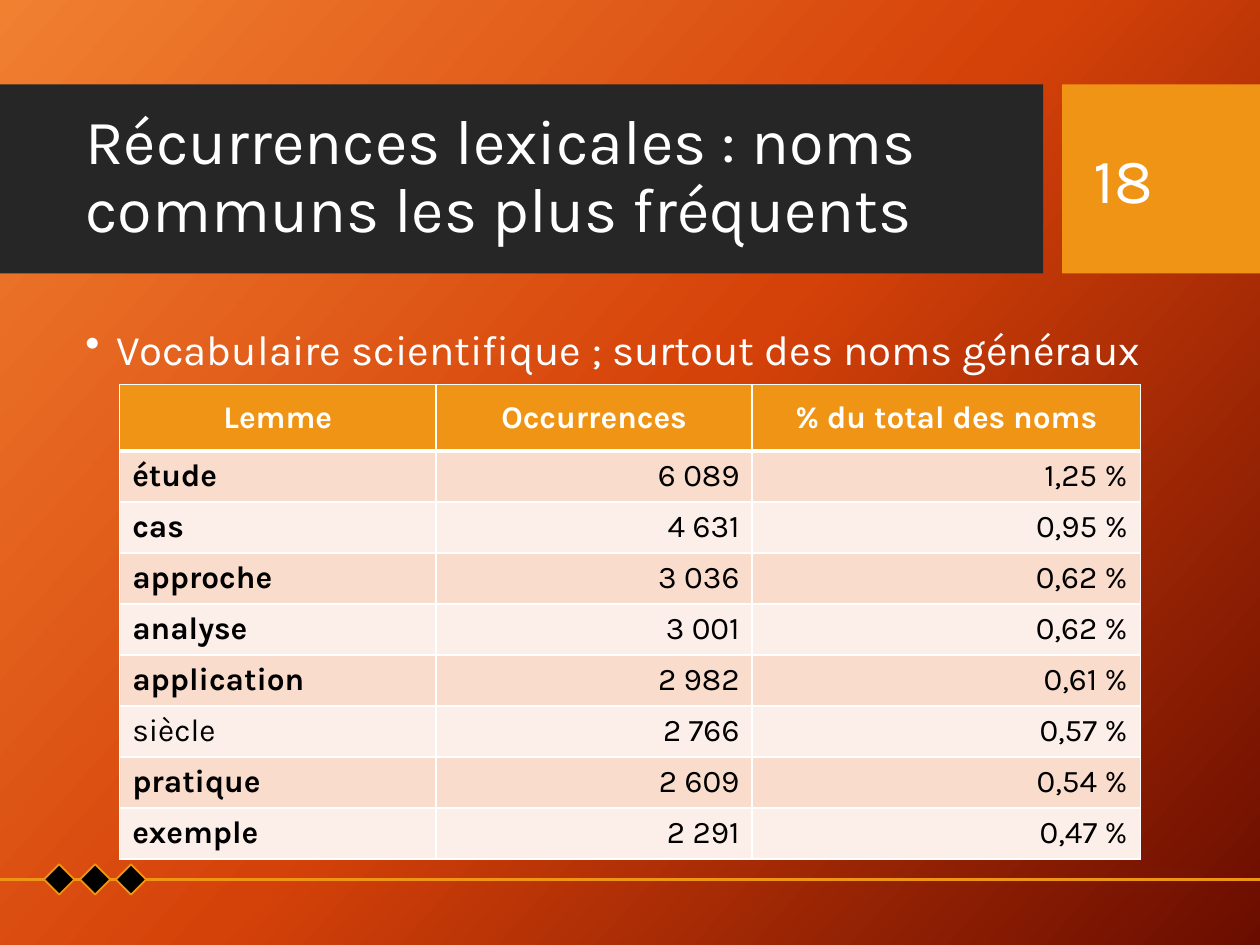
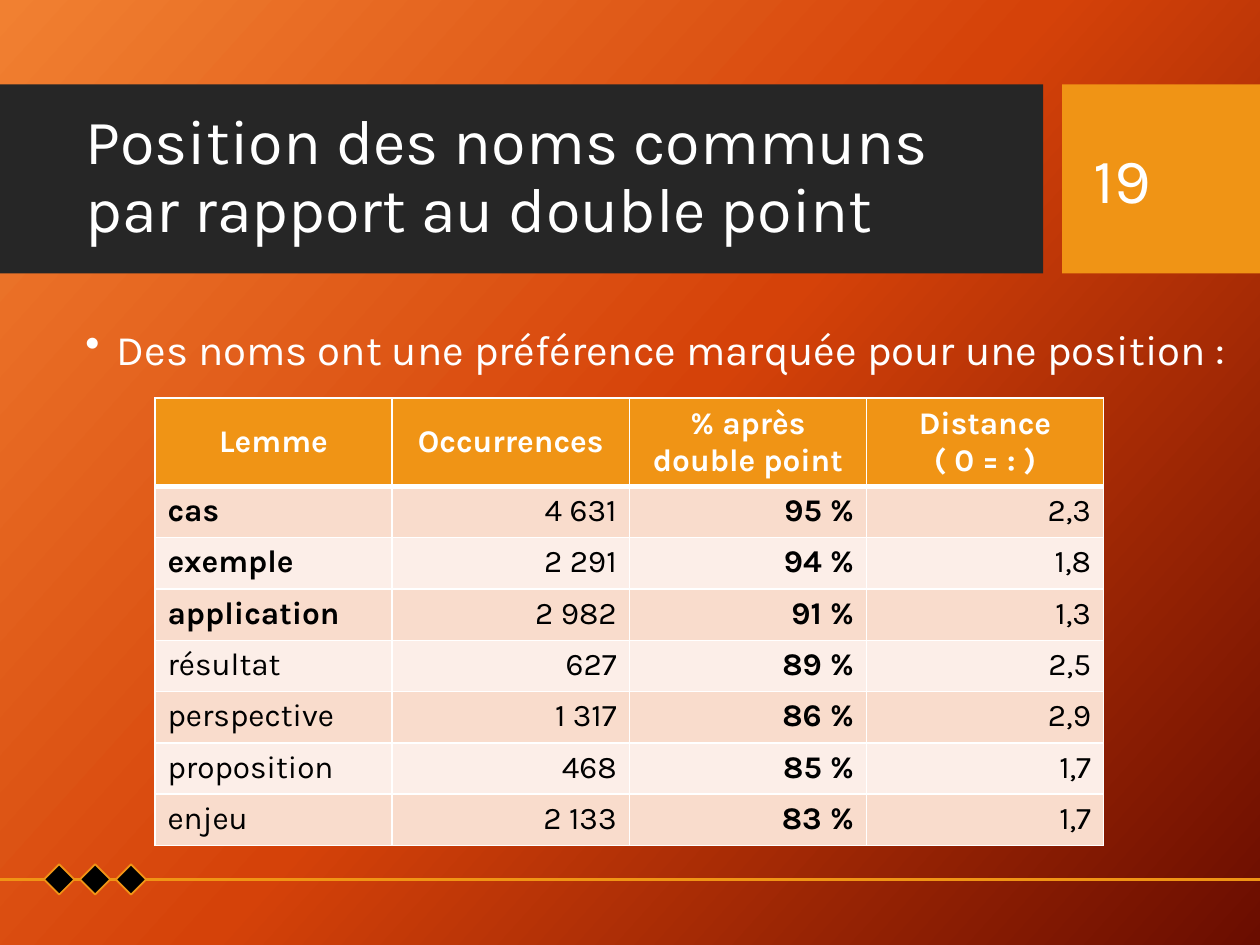
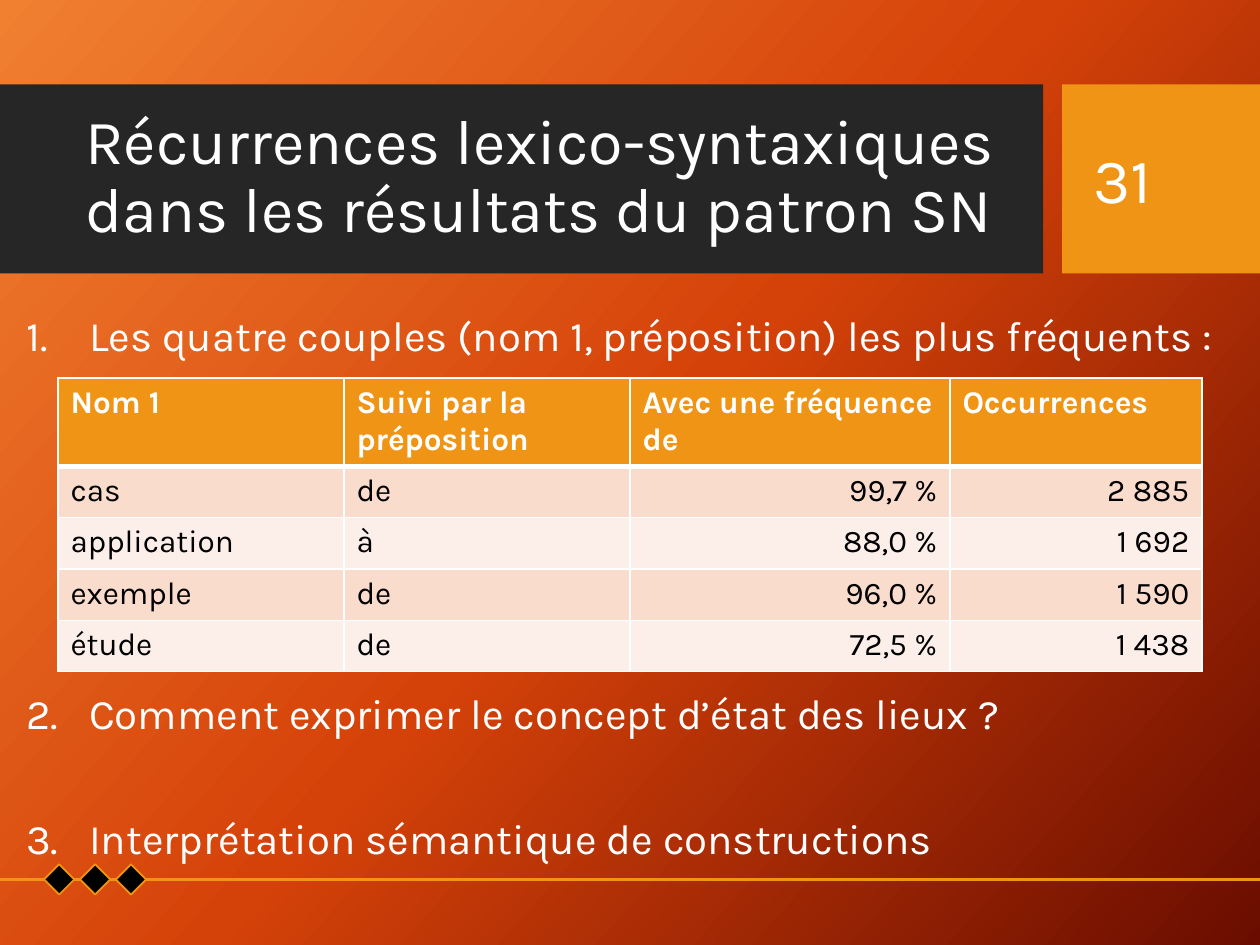
from copy import deepcopy
from dataclasses import dataclass

from lxml.etree import SubElement
from pptx import Presentation
from pptx.dml.color import RGBColor as Rgb
from pptx.enum.shapes import MSO_CONNECTOR as Connector, MSO_SHAPE as Shape
from pptx.enum.text import MSO_ANCHOR as Anchor, PP_ALIGN as Align
from pptx.oxml import parse_xml
from pptx.oxml.ns import nsdecls, qn
from pptx.util import Inches, Pt


@dataclass(frozen=True)
class Theme:
    font: str = "Karla"
    title_size: int = 36
    body_size: int = 24
    table_size: int = 18
    white: str = "FFFFFF"
    black: str = "000000"
    band: str = "262626"
    accent: str = "F09415"
    stripes: tuple = ("F9DCCC", "FCEEE8")
    gradient: tuple = ((0, "F18031"), (0.5, "D54209"), (1, "6A0D00"))
    gradient_angle: int = 42
    rule: float = 1.5
    border: int = 1
    header_border: int = 3


THEME = Theme()
TITLE_BAND = (0, 0.67, 8.28, 1.5)
NUMBER_BAND = (8.43, 0.67, 1.57, 1.5)
FOOTER = (0, 6.86, 10, 0.24)
BULLET_BOX = (0.58, 2.56, 9.42, 4.74)
FREQUENT_NOUNS = {"étude", "cas", "approche", "analyse", "application", "pratique", "exemple"}


def inches(box):
    return [Inches(value) for value in box]


def style_font(para, size, color=THEME.white, bold=False):
    font = para.font
    font.name, font.size, font.bold = THEME.font, Pt(size), bold
    font.color.rgb = Rgb.from_string(color)


def add_filled(shapes, kind, box, color, line_color=None):
    shape = shapes.add_shape(kind, *inches(box))
    shape.shadow.inherit = False
    shape.fill.solid()
    shape.fill.fore_color.rgb = Rgb.from_string(color)
    if line_color:
        shape.line.color.rgb = Rgb.from_string(line_color)
        shape.line.width = Pt(THEME.border)
    else:
        shape.line.fill.background()


def add_text_frame(page, box, anchor=Anchor.TOP):
    frame = page.shapes.add_textbox(*inches(box)).text_frame
    frame.word_wrap = True
    frame.vertical_anchor = anchor
    return frame


def paint_background(page):
    fill = page.background.fill
    fill.gradient()
    fill.gradient_angle = 360 - THEME.gradient_angle
    stop_list = page.element.find(".//" + qn("a:gsLst"))
    stop_list.append(deepcopy(stop_list[0]))
    for stop, (position, color) in zip(fill.gradient_stops, THEME.gradient):
        stop.position = position
        stop.color.rgb = Rgb.from_string(color)


def add_band(page, band, text_box, text, line_spacing=1.0):
    """Draw a coloured band with a large text; text_box is relative to the band."""
    (left, top, _, _), color = band
    add_filled(page.shapes, Shape.RECTANGLE, band[0], color)
    dx, dy, width, height = text_box
    frame = add_text_frame(page, (left + dx, top + dy, width, height), Anchor.MIDDLE)
    para = frame.paragraphs[0]
    para.text = text
    para.line_spacing = line_spacing
    style_font(para, THEME.title_size)


def add_footer(page, box):
    left, top, width, size = box
    shapes = page.shapes.add_group_shape().shapes
    middle = top + size / 2
    rule = shapes.add_connector(
        Connector.STRAIGHT, *inches((left, middle, left + width, middle)))
    rule.line.color.rgb = Rgb.from_string(THEME.accent)
    rule.line.width = Pt(THEME.rule)
    SubElement(rule.element.spPr, qn("a:effectLst"))
    for index in range(3):
        diamond = (left + 0.35 + index * 0.285, top, size, size)
        add_filled(shapes, Shape.DIAMOND, diamond, THEME.black, THEME.accent)


def add_page(deck, title, number):
    page = deck.slides.add_slide(deck.slide_layouts[6])
    paint_background(page)
    add_band(page, (TITLE_BAND, THEME.band), (0.58, 0.15, 7.54, 1.18), title, 0.9)
    add_band(page, (NUMBER_BAND, THEME.accent), (0.15, 0.15, 1.27, 1.19), str(number))
    add_footer(page, FOOTER)
    return page


def add_list(page, box, items, indent, numbered=False):
    """Write a list; each item is a text with its space before in points."""
    frame = add_text_frame(page, box)
    for number, (text, space) in enumerate(items, 1):
        para = frame.paragraphs[0] if number == 1 else frame.add_paragraph()
        para.text = text
        para.line_spacing = 0.9
        para.space_before = Pt(space)
        properties = para._p.get_or_add_pPr()
        properties.set("marL", str(Inches(indent)))
        properties.set("indent", str(-Inches(indent)))
        color = SubElement(properties, qn("a:buClr"))
        SubElement(color, qn("a:srgbClr"), val=THEME.white)
        if numbered:
            SubElement(properties, qn("a:buAutoNum"), type="arabicPeriod", startAt=str(number))
        else:
            SubElement(properties, qn("a:buChar"), char="•")
        style_font(para, THEME.body_size)


def set_borders(cell, top, bottom):
    widths = {"lnL": THEME.border, "lnR": THEME.border, "lnT": top, "lnB": bottom}
    properties = cell._tc.get_or_add_tcPr()
    for index, (side, width) in enumerate(widths.items()):
        properties.insert(index, parse_xml(
            f'<a:{side} {nsdecls("a")} w="{Pt(width)}"><a:solidFill>'
            f'<a:srgbClr val="{THEME.white}"/></a:solidFill></a:{side}>'))


def fill_cell(cell, text, fill, align, color, bold):
    cell.fill.solid()
    cell.fill.fore_color.rgb = Rgb.from_string(fill)
    cell.text_frame.text = text
    for para in cell.text_frame.paragraphs:
        para.alignment = align
        style_font(para, THEME.table_size, color, bold)


def add_data_table(page, box, header_height, widths, rows, bold_words=(), bold_columns=(),
                   text_columns=1, centred_header=True):
    """Draw a striped table; the rows below the header share the remaining height."""
    table = page.shapes.add_table(len(rows), len(widths), *inches(box)).table
    for column, width in zip(table.columns, widths):
        column.width = Inches(width)
    body_height = (box[3] - header_height) / (len(rows) - 1)
    for row_index, values in enumerate(rows):
        is_header = row_index == 0
        table.rows[row_index].height = Inches(header_height if is_header else body_height)
        for column_index, text in enumerate(values):
            cell = table.cell(row_index, column_index)
            if is_header:
                align = Align.CENTER if centred_header else Align.LEFT
                fill_cell(cell, text, THEME.accent, align, THEME.white, True)
                cell.vertical_anchor = Anchor.MIDDLE if centred_header else Anchor.TOP
            else:
                align = Align.LEFT if column_index < text_columns else Align.RIGHT
                bold = text in bold_words or column_index in bold_columns
                stripe = THEME.stripes[(row_index - 1) % 2]
                fill_cell(cell, text, stripe, align, THEME.black, bold)
            set_borders(cell,
                        THEME.header_border if row_index == 1 else THEME.border,
                        THEME.header_border if is_header else THEME.border)


def add_frequent_nouns(deck):
    page = add_page(deck, "Récurrences lexicales : noms\vcommuns les plus fréquents", 18)
    rows = [
        ("Lemme", "Occurrences", "% du total des noms"),
        ("étude", "6 089", "1,25 %"),
        ("cas", "4 631", "0,95 %"),
        ("approche", "3 036", "0,62 %"),
        ("analyse", "3 001", "0,62 %"),
        ("application", "2 982", "0,61 %"),
        ("siècle", "2 766", "0,57 %"),
        ("pratique", "2 609", "0,54 %"),
        ("exemple", "2 291", "0,47 %"),
    ]
    add_data_table(page, (0.95, 3.05, 8.1, 3.77), 0.53, (2.51, 2.51, 3.08), rows,
                   bold_words=FREQUENT_NOUNS)
    add_list(page, BULLET_BOX,
             [("Vocabulaire scientifique ; surtout des noms généraux", 10)], 0.25)


def add_noun_positions(deck):
    page = add_page(deck, "Position des noms communs par rapport au double point", 19)
    rows = [
        ("Lemme", "Occurrences", "% après double point", "Distance\n( 0 = : )"),
        ("cas", "4 631", "95 %", "2,3"),
        ("exemple", "2 291", "94 %", "1,8"),
        ("application", "2 982", "91 %", "1,3"),
        ("résultat", "627", "89 %", "2,5"),
        ("perspective", "1 317", "86 %", "2,9"),
        ("proposition", "468", "85 %", "1,7"),
        ("enjeu", "2 133", "83 %", "1,7"),
    ]
    add_data_table(page, (1.23, 3.16, 7.53, 3.54), 0.69, [7.53 / 4] * 4, rows,
                   bold_words=FREQUENT_NOUNS, bold_columns=(2,))
    add_list(page, BULLET_BOX,
             [("Des noms ont une préférence marquée pour une position :", 10)], 0.25)


def add_noun_patterns(deck):
    page = add_page(
        deck, "Récurrences lexico-syntaxiques dans les résultats du patron SN", 31)
    items = [
        ("Les quatre couples (nom 1, préposition) les plus fréquents :", 10),
        ("Comment exprimer le concept d’état des lieux ?", 190),
        ("Interprétation sémantique de constructions", 46),
    ]
    add_list(page, (0.11, 2.45, 9.77, 4.54), items, 0.5, numbered=True)
    rows = [
        ("Nom 1", "Suivi par la préposition", "Avec une fréquence de", "Occurrences"),
        ("cas", "de", "99,7 %", "2 885"),
        ("application", "à", "88,0 %", "1 692"),
        ("exemple", "de", "96,0 %", "1 590"),
        ("étude", "de", "72,5 %", "1 438"),
    ]
    add_data_table(page, (0.46, 3, 9.08, 2.32), 0.69, (2.27, 2.27, 2.54, 2), rows,
                   text_columns=2, centred_header=False)


def main():
    deck = Presentation()
    deck.slide_width, deck.slide_height = Inches(10), Inches(7.5)
    add_frequent_nouns(deck)
    add_noun_positions(deck)
    add_noun_patterns(deck)
    deck.save("out.pptx")


if __name__ == "__main__":
    main()
